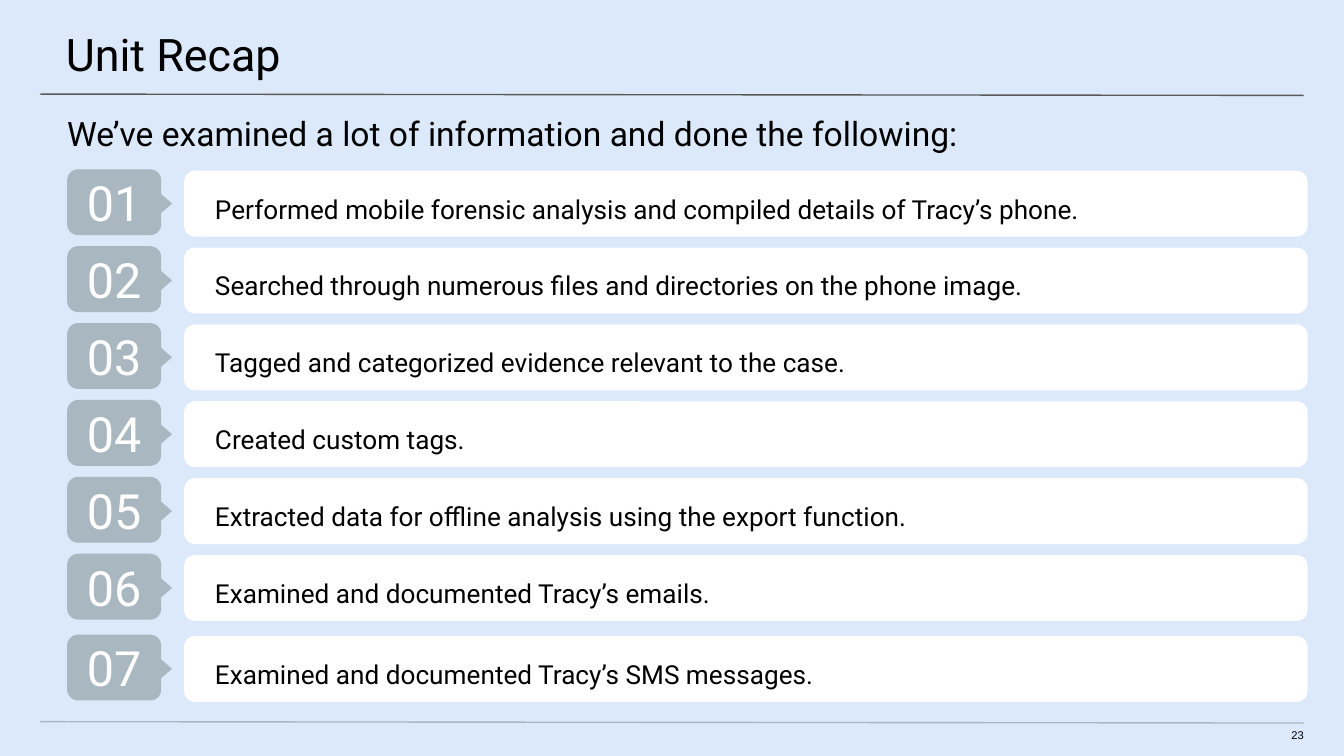
from typing import NamedTuple

from lxml.etree import SubElement
from pptx import Presentation
from pptx.dml.color import RGBColor
from pptx.enum.shapes import MSO_CONNECTOR as Link, MSO_SHAPE as Kind
from pptx.enum.text import MSO_ANCHOR as Anchor, PP_ALIGN as Align
from pptx.oxml.ns import qn
from pptx.shapes.autoshape import Shape
from pptx.slide import Slide
from pptx.util import Inches, Pt

SKY = RGBColor(0xDC, 0xE9, 0xFB)
GREY = RGBColor(0xA9, 0xB7, 0xC0)
DARK = RGBColor(0x59, 0x59, 0x59)
WHITE = RGBColor(0xFF, 0xFF, 0xFF)
BLACK = RGBColor(0x00, 0x00, 0x00)

WIDE = Inches(10)
TOP, SPAN, HIGH = 1.26, 2.86, 0.49
STEP = SPAN / 5  # the first six rows are evenly spaced
LAST_GAP = 0.03  # the last row sits slightly lower


class Box(NamedTuple):
    left: float
    top: float
    width: float
    height: float


class Style(NamedTuple):
    size: float
    pad: tuple[float, float, float, float]  # left, top, right, bottom
    color: RGBColor = BLACK
    font: str = "Roboto"
    align: Align = Align.LEFT
    anchor: Anchor = Anchor.TOP
    pitch: float = 1.0


TITLE = Style(24, (0.5, 0.2, 0.3, 0.1))
LEAD = Style(18, (0.5, 0.1, 0.5, 0))
ITEM = Style(14, (1.6, 0, 0.5, 0), anchor=Anchor.MIDDLE, pitch=1.15)
BADGE = Style(26, (0.1, 0.1, 0.1, 0.1), WHITE,
              align=Align.CENTER, anchor=Anchor.MIDDLE)
PAGE = Style(6, (0, 0, 0, 0.1), font="Arial", align=Align.RIGHT)

ITEMS = [
    "Performed mobile forensic analysis and compiled details of Tracy’s phone.",
    "Searched through numerous files and directories on the phone image.",
    "Tagged and categorized evidence relevant to the case.",
    "Created custom tags.",
    "Extracted data for offline analysis using the export function.",
    "Examined and documented Tracy’s emails.",
    "Examined and documented Tracy’s SMS messages.",
]


def write(shape: Shape, text: str, style: Style) -> None:
    frame = shape.text_frame
    frame.word_wrap = True
    frame.vertical_anchor = style.anchor
    (frame.margin_left, frame.margin_top,
     frame.margin_right, frame.margin_bottom) = map(Inches, style.pad)
    para = frame.paragraphs[0]
    para.text = text
    para.alignment = style.align
    para.line_spacing = style.pitch
    para.font.size = Pt(style.size)
    para.font.name = style.font
    para.font.color.rgb = style.color


def add_text(slide: Slide, box: Box, text: str, style: Style) -> None:
    write(slide.shapes.add_textbox(*map(Inches, box)), text, style)


def add_block(slide: Slide, kind: Kind, box: Box, fill: RGBColor) -> Shape:
    shape = slide.shapes.add_shape(kind, *map(Inches, box))
    shape.shadow.inherit = False
    shape.fill.solid()
    shape.fill.fore_color.rgb = fill
    shape.line.fill.background()
    return shape


def add_rule(slide: Slide, top: float, color: RGBColor) -> None:
    """Draw a thin line across the slide that falls by 0.01 inch."""
    ends = map(Inches, (0.3, top, 9.7, top + 0.01))
    line = slide.shapes.add_connector(Link.STRAIGHT, *ends)
    line.line.color.rgb = color
    line.line.width = Pt(0.75)
    SubElement(line._element.spPr, qn("a:effectLst"))


def add_row(slide: Slide, top: float, number: int, text: str) -> None:
    badge = add_block(slide, Kind.ROUNDED_RECTANGLE,
                      Box(0.5, top, 0.7, HIGH), GREY)
    write(badge, f"{number:02}", BADGE)
    tip = add_block(slide, Kind.FLOWCHART_EXTRACT,
                    Box(1.02, top + 0.16, 0.33, 0.19), GREY)
    tip.rotation = 90
    add_block(slide, Kind.ROUNDED_RECTANGLE,
              Box(1.37, top + 0.01, 8.36, HIGH), WHITE)
    add_text(slide, Box(0, top + 0.03, 9.7, HIGH), text, ITEM)


def main() -> None:
    deck = Presentation()
    deck.slide_width, deck.slide_height = WIDE, WIDE * 9 // 16
    slide = deck.slides.add_slide(deck.slide_layouts[6])
    slide.background.fill.solid()
    slide.background.fill.fore_color.rgb = SKY

    add_rule(slide, 0.7, DARK)
    add_rule(slide, 5.37, GREY)
    add_text(slide, Box(-0.01, 0, 10.03, 0.58), "Unit Recap", TITLE)
    add_text(slide, Box(0, 0.74, 10, 0.4),
             "We’ve examined a lot of information and done the following:",
             LEAD)
    for i, text in enumerate(ITEMS):
        gap = LAST_GAP if i == len(ITEMS) - 1 else 0
        add_row(slide, TOP + STEP * i + gap, i + 1, text)
    add_text(slide, Box(9.41, 5.42, 0.29, 0.12), "23", PAGE)
    deck.save("out.pptx")


if __name__ == "__main__":
    main()
